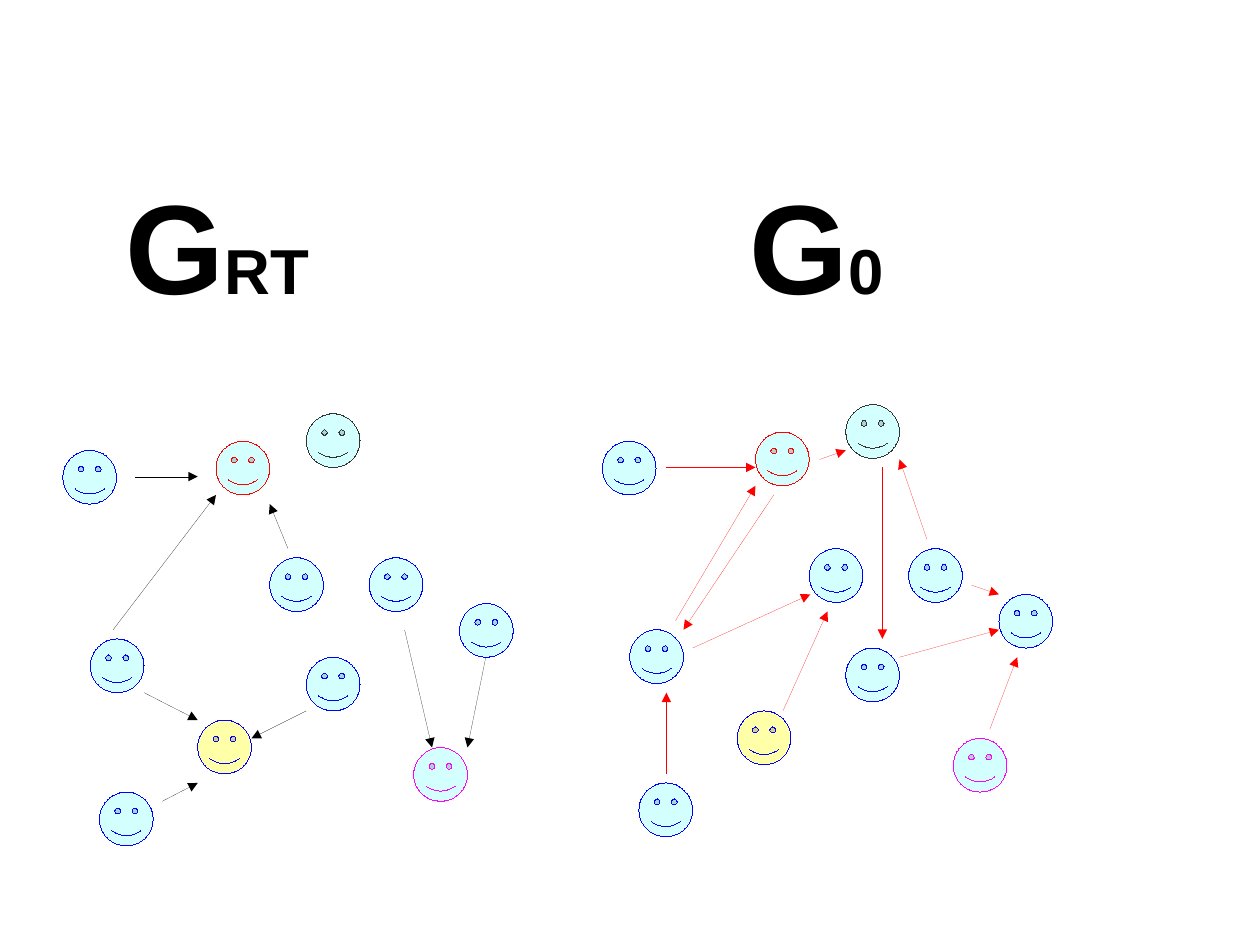
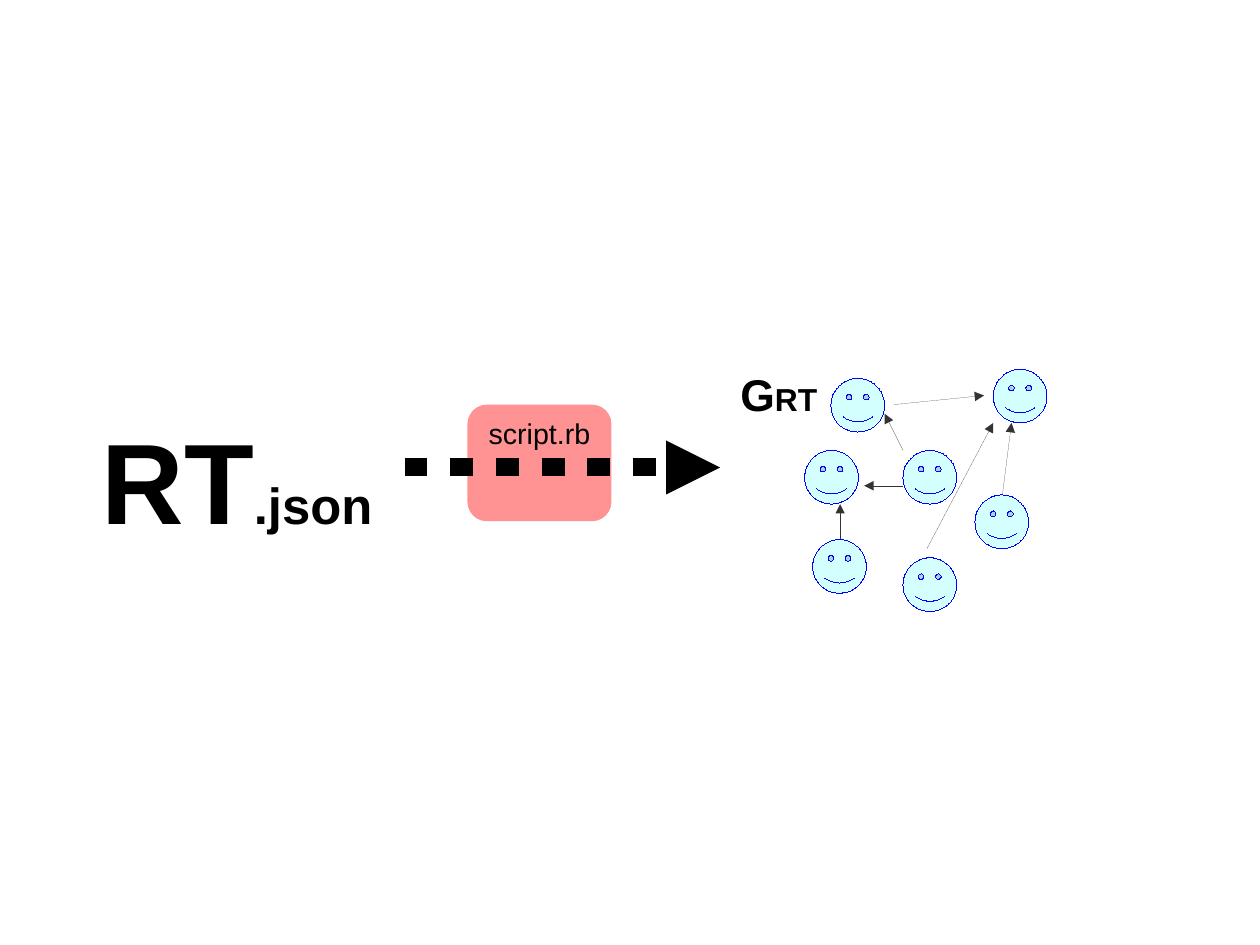
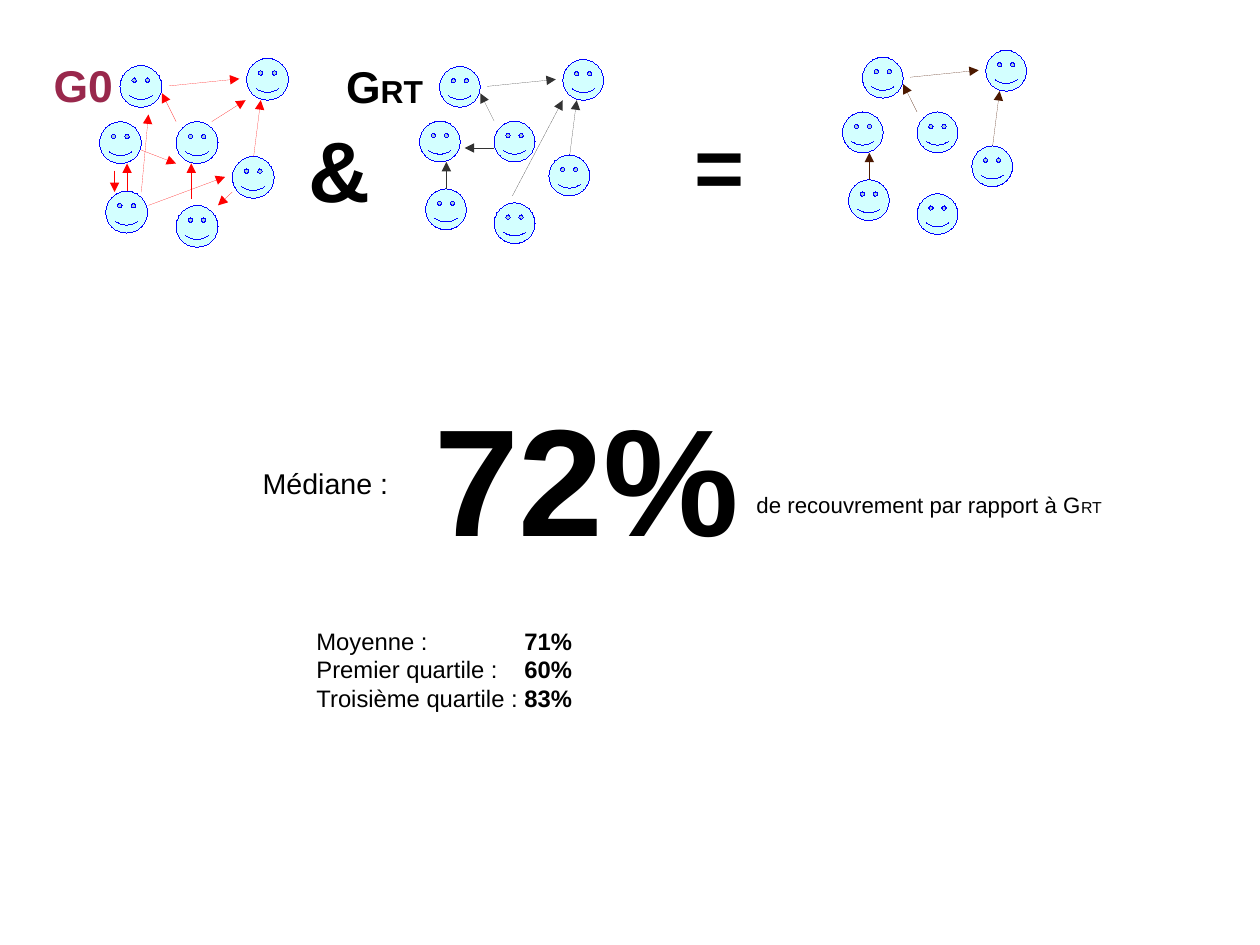
"""Build three slides that compare a retweet graph with a follower graph."""
from lxml.etree import SubElement
from pptx import Presentation
from pptx.dml.color import RGBColor
from pptx.enum.shapes import MSO_CONNECTOR, MSO_SHAPE
from pptx.enum.text import MSO_ANCHOR, MSO_AUTO_SIZE, PP_ALIGN
from pptx.oxml.ns import qn
from pptx.util import Inches, Pt

FONT = "Arial"
BLACK, GRAY, BROWN, PLUM = "000000", "333333", "4C1900", "99284C"
BLUE, RED, MAGENTA = "0000FF", "FF0000", "FF00FF"
CYAN, YELLOW, SALMON = "CCFFFF", "FFFF99", "FF8080"
FACE_SIZE = 0.47
CM_PER_INCH = 2.54

LARGE_FACES = [
    (0, 0.32), (1.34, 0.24, RED), (1.81, 1.26), (0.24, 1.97), (2.13, 2.13),
    (2.68, 1.26), (2.13, 0, GRAY), (3.47, 1.66), (0.32, 3.31),
    (1.18, 2.68, BLUE, YELLOW), (3.07, 2.92, MAGENTA),
]
LARGE_RT_LINKS = [
    (0.87, 3.39, 1.18, 3.23), (0.71, 2.44, 1.18, 2.68), (3.7, 2.13, 3.54, 2.92),
    (0.63, 0.55, 1.18, 0.55), (1.97, 1.18, 1.81, 0.79), (2.13, 2.6, 1.65, 2.84),
    (2.99, 1.89, 3.23, 2.92), (0.44, 1.89, 1.34, 0.71),
]
LARGE_G0_LINKS = [
    (0.64, 1.89, 1.34, 0.71), (1.9, 0.48, 2.13, 0.4), (1.58, 2.68, 1.97, 1.81),
    (2.6, 2.21, 3.47, 1.97), (0.56, 0.55, 1.34, 0.55), (1.5, 0.79, 0.71, 1.97),
    (0.56, 3.23, 0.56, 2.52), (0.79, 2.13, 1.82, 1.66), (2.45, 0.55, 2.45, 2.05),
    (3.23, 1.58, 3.47, 1.66), (2.84, 1.18, 2.6, 0.48), (3.39, 2.84, 3.63, 2.21),
]
SMALL_FACES = [
    (0, 0.71), (0.86, 1.65), (0.86, 0.71), (0.07, 1.49), (1.49, 1.1),
    (0.23, 0.08), (1.65, 0),
]
COMMON_LINKS = [
    (0.86, 0.71, 0.7, 0.39), (1.73, 1.1, 1.81, 0.47),
    (0.78, 0.31, 1.57, 0.23), (0.31, 1.49, 0.31, 1.18),
]
SMALL_RT_LINKS = COMMON_LINKS + [(0.86, 1.02, 0.52, 1.02), (1.07, 1.57, 1.65, 0.47)]
SMALL_G0_LINKS = COMMON_LINKS + [
    (1.03, 1.58, 1.03, 1.18), (0.47, 1.03, 0.86, 1.18), (1.26, 0.71, 1.64, 0.47),
    (1.49, 1.5, 1.33, 1.65), (0.17, 1.26, 0.17, 1.5), (0.47, 1.5, 0.55, 0.63),
    (0.55, 1.65, 1.41, 1.33),
]


def rgb(color):
    """Turn a hex string into a colour."""
    return RGBColor.from_string(color)


def fill_softly(shape, color):
    """Fill a shape at 85 % opacity and drop its shadow."""
    shape.shadow.inherit = False
    shape.fill.solid()
    shape.fill.fore_color.rgb = rgb(color)
    tint = shape.fill._xPr.find(qn("a:solidFill"))[0]
    SubElement(tint, qn("a:alpha"), val="85000")


def set_stroke(shape, color, width=0):
    """Set a line whose zero width is a hairline, free of the theme style."""
    shape._element.remove(shape._element.find(qn("p:style")))
    shape.line.color.rgb = rgb(color)
    shape.line.width = Pt(width)


def style_run(run, size, bold=False, color=BLACK):
    """Give a run the shared font."""
    run.font.name = FONT
    run.font.size = Pt(size)
    run.font.bold = bold
    run.font.color.rgb = rgb(color)


def add_face(slide, left, top, size, outline=BLUE, skin=CYAN):
    """Draw one person of a graph."""
    face = slide.shapes.add_shape(
        MSO_SHAPE.SMILEY_FACE, Inches(left), Inches(top), Inches(size), Inches(size))
    fill_softly(face, skin)
    set_stroke(face, outline)


def add_arrow(slide, ends, color, width=0, dash=None):
    """Draw a straight arrow, dashed in thousandths of a percent of its width."""
    arrow = slide.shapes.add_connector(
        MSO_CONNECTOR.STRAIGHT, *[Inches(value) for value in ends])
    set_stroke(arrow, color, width)
    stroke = arrow.line._get_or_add_ln()
    if dash:
        pattern = SubElement(stroke, qn("a:custDash"))
        SubElement(pattern, qn("a:ds"), d=str(dash), sp=str(dash))
    SubElement(stroke, qn("a:tailEnd"), type="triangle")
    SubElement(arrow._element.spPr, qn("a:effectLst"))


def add_graph(slide, origin, faces, links, color, scale=1):
    """Draw the faces and links of a graph from its top left corner."""
    left, top = origin
    for x, y, *colors in faces:
        add_face(slide, left + x * scale, top + y * scale, FACE_SIZE * scale, *colors)
    for x1, y1, x2, y2 in links:
        ends = (left + x1 * scale, top + y1 * scale, left + x2 * scale, top + y2 * scale)
        add_arrow(slide, ends, color)


def add_frame(slide, box):
    """Add a text box that fits its unwrapped text and return its frame."""
    frame = slide.shapes.add_textbox(*[Inches(value) for value in box]).text_frame
    frame.word_wrap = False
    frame.auto_size = MSO_AUTO_SIZE.SHAPE_TO_FIT_TEXT
    return frame


def add_label(slide, box, runs, bold=True, color=BLACK):
    """Write one line whose runs are pairs of text and size."""
    line = add_frame(slide, box).paragraphs[0]
    for text, size in runs:
        run = line.add_run()
        run.text = text
        style_run(run, size, bold, color)


def add_statistics(slide, box, rows, tab):
    """List names with bold values aligned at a tab stop."""
    frame = add_frame(slide, box)
    for index, (name, value) in enumerate(rows):
        row = frame.add_paragraph() if index else frame.paragraphs[0]
        stops = SubElement(row._p.get_or_add_pPr(), qn("a:tabLst"))
        SubElement(stops, qn("a:tab"), pos=str(Inches(tab)), algn="l")
        for text, bold in ((name + "\t", False), (value, True)):
            run = row.add_run()
            run.text = text
            style_run(run, 15, bold)


def add_script_box(slide, box, name):
    """Draw the rounded box that names the script."""
    script = slide.shapes.add_shape(
        MSO_SHAPE.ROUNDED_RECTANGLE, *[Inches(value) for value in box])
    fill_softly(script, SALMON)
    script.line.fill.background()
    frame = script.text_frame
    frame.text = name
    frame.word_wrap = False
    frame.vertical_anchor = MSO_ANCHOR.TOP
    frame.paragraphs[0].alignment = PP_ALIGN.CENTER
    style_run(frame.paragraphs[0].runs[0], 18)


def build_two_graphs(slide):
    """Show both graphs over the same people."""
    add_graph(slide, (0.55, 3.62), LARGE_FACES, LARGE_RT_LINKS, BLACK)
    add_label(slide, (1, 1.42, 1.84, 1.34), [("G", 80), ("RT", 40)])
    add_graph(slide, (5.27, 3.54), LARGE_FACES, LARGE_G0_LINKS, RED)
    add_label(slide, (6.46, 1.42, 1.37, 1.34), [("G", 80), ("0", 40)])


def build_extraction(slide):
    """Show how the script turns the data into a graph."""
    add_script_box(slide, (4.09, 3.54, 1.26, 1.02), "script.rb")
    add_label(slide, (0.79, 3.54, 2.57, 1.22), [("RT", 72), (".json", 32)])
    add_graph(slide, (7.04, 3.23), SMALL_FACES, SMALL_RT_LINKS, GRAY)
    add_label(slide, (6.38, 3.16, 0.87, 0.53), [("G", 28), ("RT", 20)])
    add_arrow(slide, (3.54, 4.09, 6.3, 4.09), BLACK, 11.34, 127000)


def build_overlap(slide):
    """Show the intersection of the graphs and its statistics."""
    add_graph(slide, (3.67, 0.52), SMALL_FACES, SMALL_RT_LINKS, GRAY, 0.76)
    add_label(slide, (2.93, 0.47, 0.93, 0.59), [("G", 28), ("RT", 20)])
    add_label(slide, (5.98, 0.94, 0.64, 0.94), [("=", 54)])
    add_graph(slide, (7.37, 0.44), SMALL_FACES, COMMON_LINKS, BROWN, 0.76)
    add_label(slide, (3.7, 3.31, 2.87, 1.59), [("72%", 96)])
    add_label(slide, (2.2, 4.03, 1.3, 0.38), [("Médiane :", 18)], bold=False)
    add_statistics(slide, (2.67, 5.43, 2.45, 0.79), [
        ("Moyenne :", "71%"),
        ("Premier quartile :", "60%"),
        ("Troisième quartile :", "83%"),
    ], tab=1.82)
    add_label(slide, (6.52, 4.25, 3.23, 0.32),
              [("de recouvrement par rapport à G", 14), ("RT", 10)], bold=False)
    add_graph(slide, (0.87, 0.51), SMALL_FACES, SMALL_G0_LINKS, RED, 0.78)
    add_label(slide, (0.37, 0.46, 0.72, 0.53), [("G0", 28)], color=PLUM)
    add_label(slide, (2.6, 0.97, 0.74, 0.94), [("&", 54)])


def main():
    """Build and save the presentation."""
    deck = Presentation()
    deck.slide_width = Inches(28 / CM_PER_INCH)
    deck.slide_height = Inches(21 / CM_PER_INCH)
    blank = deck.slide_layouts[6]
    build_two_graphs(deck.slides.add_slide(blank))
    build_extraction(deck.slides.add_slide(blank))
    build_overlap(deck.slides.add_slide(blank))
    deck.save("out.pptx")


if __name__ == "__main__":
    main()
